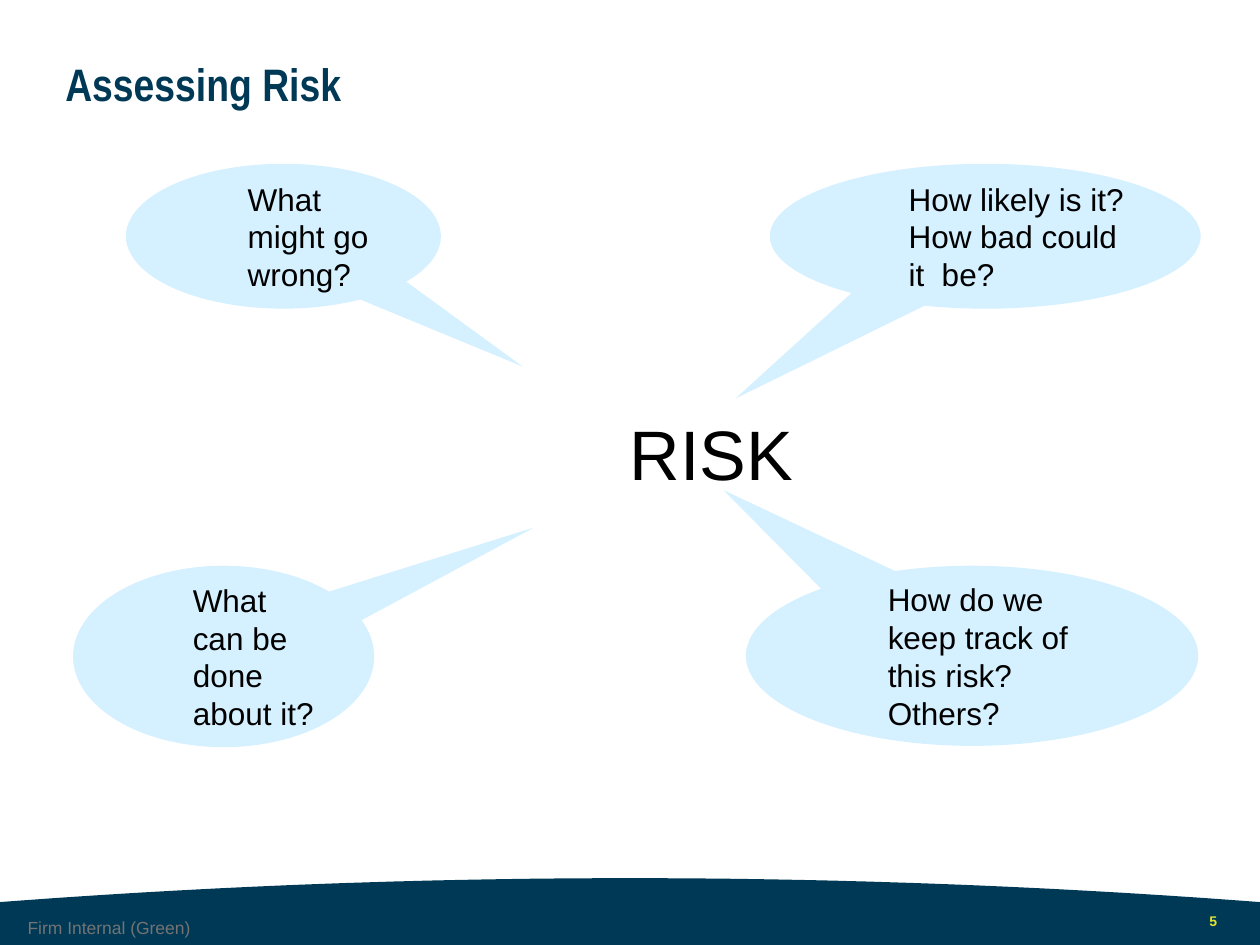
from pptx import Presentation
from pptx.dml.color import RGBColor as RGB
from pptx.enum.shapes import MSO_SHAPE as Kind
from pptx.enum.text import MSO_ANCHOR as Anchor, PP_ALIGN as Align
from pptx.util import Inches, Pt

HUES = {
    "navy": "003956",
    "sky": "D5F1FF",
    "black": "000000",
    "gray": "737373",
    "lime": "E3E431",
}


def write(shape, text, size=18, font="Arial", hue="black", bold=False,
          align=Align.LEFT, left=0.1, pad=0.1, edge=0.05):
    frame = shape.text_frame
    frame.word_wrap = True
    frame.vertical_anchor = Anchor.MIDDLE
    frame.margin_left, frame.margin_right = Inches(left), Inches(pad)
    frame.margin_top = frame.margin_bottom = Inches(edge)
    para = frame.paragraphs[0]
    para.text = text
    para.alignment = align
    para.font.size = Pt(size)
    for run in para.runs:
        run.font.name = font
        run.font.size = Pt(size)
        run.font.bold = bold
        run.font.color.rgb = RGB.from_string(HUES[hue])


class Deck:
    def __init__(self, wide, high):
        self.show = Presentation()
        self.show.slide_width = Inches(wide)
        self.show.slide_height = Inches(high)
        self.slide = self.show.slides.add_slide(self.show.slide_layouts[6])

    def paint(self, shape, hue):
        shape.shadow.inherit = False
        shape.fill.solid()
        shape.fill.fore_color.rgb = RGB.from_string(HUES[hue])
        shape.line.fill.background()

    def label(self, box, text, **style):
        shape = self.slide.shapes.add_textbox(*map(Inches, box))
        write(shape, text, **style)

    def bubble(self, box, tip, text):
        shape = self.slide.shapes.add_shape(
            Kind.OVAL_CALLOUT, *map(Inches, box))
        for i, value in enumerate(tip):
            shape.adjustments[i] = value
        self.paint(shape, "sky")
        write(shape, text, left=0.6)

    def band(self, top, rise, wide, high, steps=80):
        half = wide / 2
        xs = [wide * i / steps for i in range(steps + 1)]
        arc = [(x, top + rise * ((x - half) / half) ** 2) for x in xs]
        spots = [(Inches(x), Inches(y))
                 for x, y in arc + [(wide, high), (0, high)]]
        form = self.slide.shapes.build_freeform(*spots[0], scale=1.0)
        form.add_line_segments(spots[1:], close=True)
        self.paint(form.convert_to_shape(), "navy")


BUBBLES = [
    ((0.58, 4.49, 2.39, 1.44), (1.03, -0.71), "What can be done about it?"),
    ((6.11, 1.3, 3.42, 1.15), (-0.58, 1.12),
     "How likely is it?\vHow bad could it  be?"),
    ((1, 1.3, 2.5, 1.15), (0.76, 0.9), "What might go wrong?"),
    ((5.92, 4.49, 3.59, 1.43), (-0.55, -0.92),
     "How do we keep track of this risk? Others?"),
]


def main():
    deck = Deck(10, 7.5)
    deck.band(6.97, 0.19, 10, 7.5)
    deck.label((0, 7.23, 1.73, 0.27), "Firm Internal (Green)", size=10,
               hue="gray", align=Align.CENTER, left=0, pad=0, edge=0)
    deck.label((4.9, 3.19, 1.6, 0.8), "RISK", size=40)
    deck.label((9.5, 7.22, 0.47, 0.17), "5", size=8, hue="lime", bold=True,
               edge=0)
    deck.label((0.42, 0.25, 9.25, 0.82), "Assessing Risk", size=26,
               font="Arial Narrow", hue="navy", bold=True)
    for box, tip, text in BUBBLES:
        deck.bubble(box, tip, text)
    deck.show.save("out.pptx")


if __name__ == "__main__":
    main()
